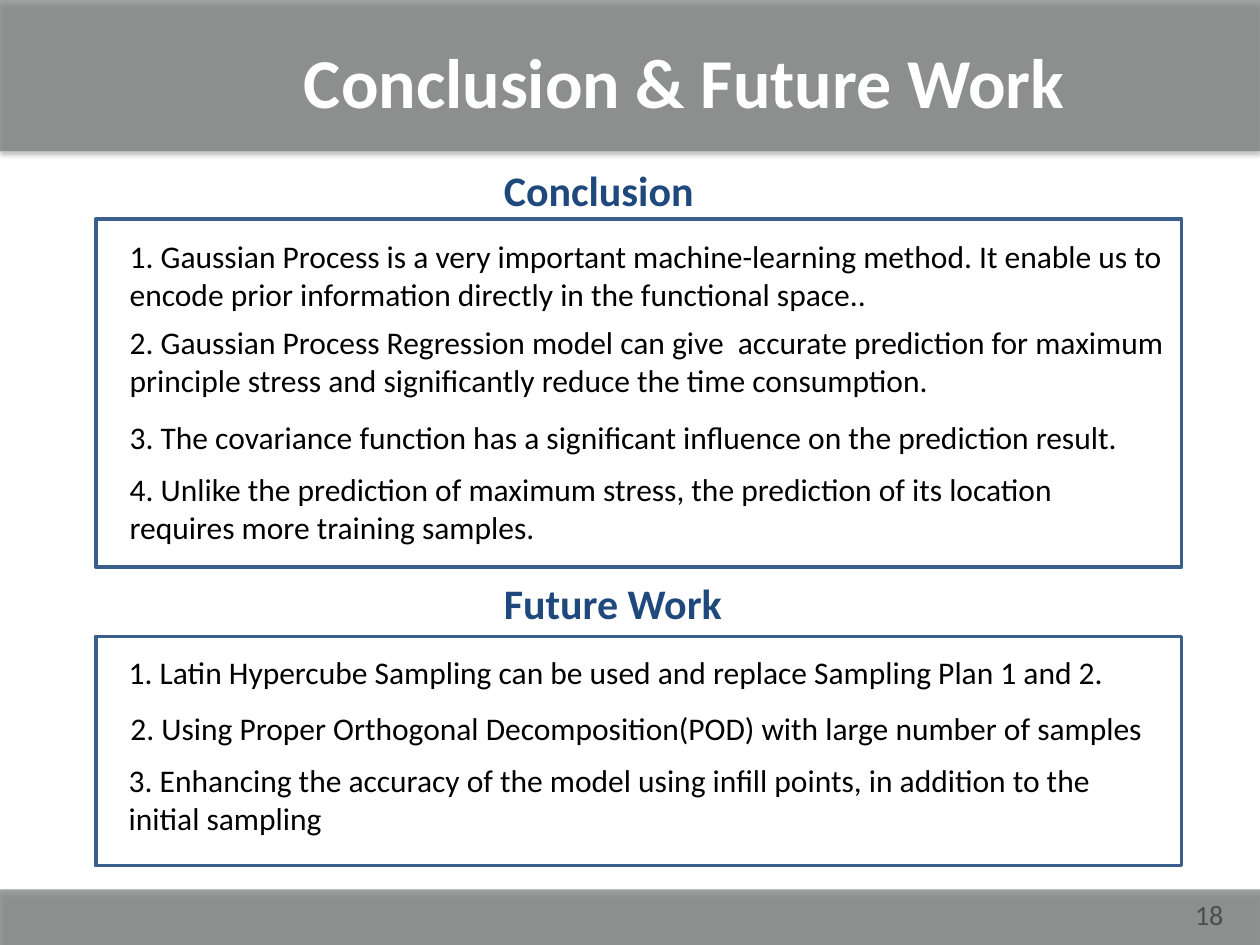
from lxml import etree
from pptx import Presentation
from pptx.dml.color import RGBColor
from pptx.enum.shapes import MSO_SHAPE
from pptx.enum.text import MSO_ANCHOR, MSO_AUTO_SIZE, PP_ALIGN
from pptx.oxml import parse_xml
from pptx.oxml.ns import nsdecls, qn
from pptx.util import Pt

RECT = MSO_SHAPE.RECTANGLE
MIDDLE = MSO_ANCHOR.MIDDLE
GROW = MSO_AUTO_SIZE.SHAPE_TO_FIT_TEXT
LEFT, CENTER, RIGHT = PP_ALIGN.LEFT, PP_ALIGN.CENTER, PP_ALIGN.RIGHT

WHITE = RGBColor(0xFF, 0xFF, 0xFF)
BLACK = RGBColor(0x00, 0x00, 0x00)
GRAY = RGBColor(0x78, 0x7A, 0x7A)
DARK = RGBColor(0x4D, 0x4D, 0x4D)
NAVY = RGBColor(0x1F, 0x49, 0x7D)
BLUE = RGBColor(0x3A, 0x5F, 0x8C)

FONT = "Calibri"
WIDTH, HEIGHT = 720, 540

# Each section: heading, heading top, frame top, frame height, items
# Each item: left, top, width, height, text
PARTS = [
    ("Conclusion", 90.7, 125.3, 198.7, [
        (67, 131.8, 619, 51, "1. Gaussian Process is a very important machine-learning "
         "method. It enable us to encode prior information directly in the "
         "functional space.."),
        (67, 181, 619, 52.6, "2. Gaussian Process Regression model can give  accurate "
         "prediction for maximum principle stress and significantly reduce the "
         "time consumption."),
        (67, 235.5, 595, 29, "3. The covariance function has a significant influence "
         "on the prediction result."),
        (67, 265, 572, 52.6, "4. Unlike the prediction of maximum stress, the "
         "prediction of its location requires more training samples."),
    ]),
    ("Future Work", 326.2, 363.6, 131, [
        (66.5, 369.4, 595, 29, "1. Latin Hypercube Sampling can be used and replace "
         "Sampling Plan 1 and 2."),
        (67.5, 401.8, 595, 29, "2. Using Proper Orthogonal Decomposition(POD) with "
         "large number of samples"),
        (66.5, 431.3, 595, 51, "3. Enhancing the accuracy of the model using infill "
         "points, in addition to the initial sampling"),
    ]),
]


def place(shape, left, top, width, height):
    shape.left, shape.top = Pt(left), Pt(top)
    shape.width, shape.height = Pt(width), Pt(height)


def write(shape, text, size, color, bold=False, align=LEFT):
    shape.text_frame.text = text
    para = shape.text_frame.paragraphs[0]
    para.alignment = align
    font = para.font
    font.name, font.size, font.bold = FONT, Pt(size), bold
    font.color.rgb = color


def add_text(slide, box, text, size, color, bold=False, align=LEFT):
    shape = slide.shapes.add_textbox(*map(Pt, box))
    shape.text_frame.word_wrap = True
    shape.text_frame.auto_size = GROW
    write(shape, text, size, color, bold, align)
    return shape


def add_bar(slide, top, height):
    """Translucent gray band across the slide with a soft shadow."""
    bar = slide.shapes.add_shape(RECT, 0, Pt(top), Pt(WIDTH), Pt(height))
    bar.fill.solid()
    bar.fill.fore_color.rgb = GRAY
    bar.line.fill.background()
    props = bar._element.spPr
    color = props.find(qn("a:solidFill"))[0]
    etree.SubElement(color, qn("a:alpha")).set("val", "70000")
    props.append(parse_xml(
        f'<a:effectLst {nsdecls("a")}>'
        f'<a:outerShdw blurRad="{Pt(3.1)}" dist="{Pt(1.8)}" dir="5400000" '
        'rotWithShape="0"><a:srgbClr val="000000"><a:alpha val="35000"/>'
        '</a:srgbClr></a:outerShdw></a:effectLst>'))
    return bar


def add_frame(slide, top, height):
    frame = slide.shapes.add_shape(RECT, Pt(54.7), Pt(top), Pt(620.6), Pt(height))
    frame.shadow.inherit = False
    frame.fill.background()
    frame.line.color.rgb = BLUE
    frame.line.width = Pt(2)


def set_title(slide, text):
    title = slide.shapes.title
    place(title, 155.5, 6.5, 470.9, 79.2)
    title.text_frame.vertical_anchor = MIDDLE
    write(title, text, 40, WHITE, True, CENTER)
    return title


def add_part(slide, head, head_top, top, height, items):
    add_frame(slide, top, height)
    add_text(slide, (280.8, head_top, 142.6, 36), head, 24, NAVY, True)
    for *box, text in items:
        add_text(slide, box, text, 18, BLACK)


def main():
    prs = Presentation()
    prs.slide_width, prs.slide_height = Pt(WIDTH), Pt(HEIGHT)
    slide = prs.slides.add_slide(prs.slide_layouts[5])

    # Header and footer bands, with the title in front of them
    add_bar(slide, 0, 86.4)
    foot = add_bar(slide, 508.3, 31.7)
    title = set_title(slide, "Conclusion & Future Work")
    foot._element.addnext(title._element)

    # Slide number
    page = add_text(slide, (516.2, 508.3, 190, 28.8), "18", 16, DARK, align=RIGHT)
    page.text_frame.auto_size = MSO_AUTO_SIZE.NONE
    page.text_frame.vertical_anchor = MIDDLE

    # Framed sections
    for part in PARTS:
        add_part(slide, *part)

    prs.save("out.pptx")


if __name__ == "__main__":
    main()
